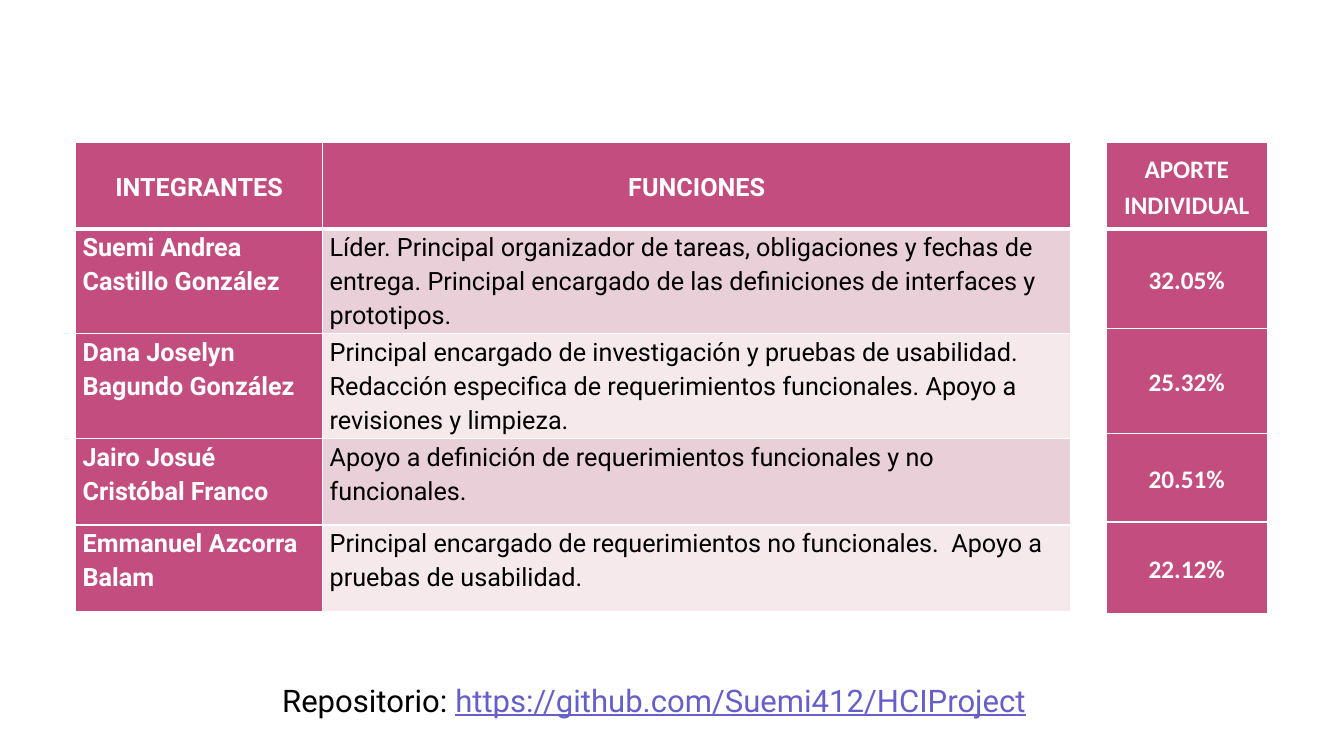
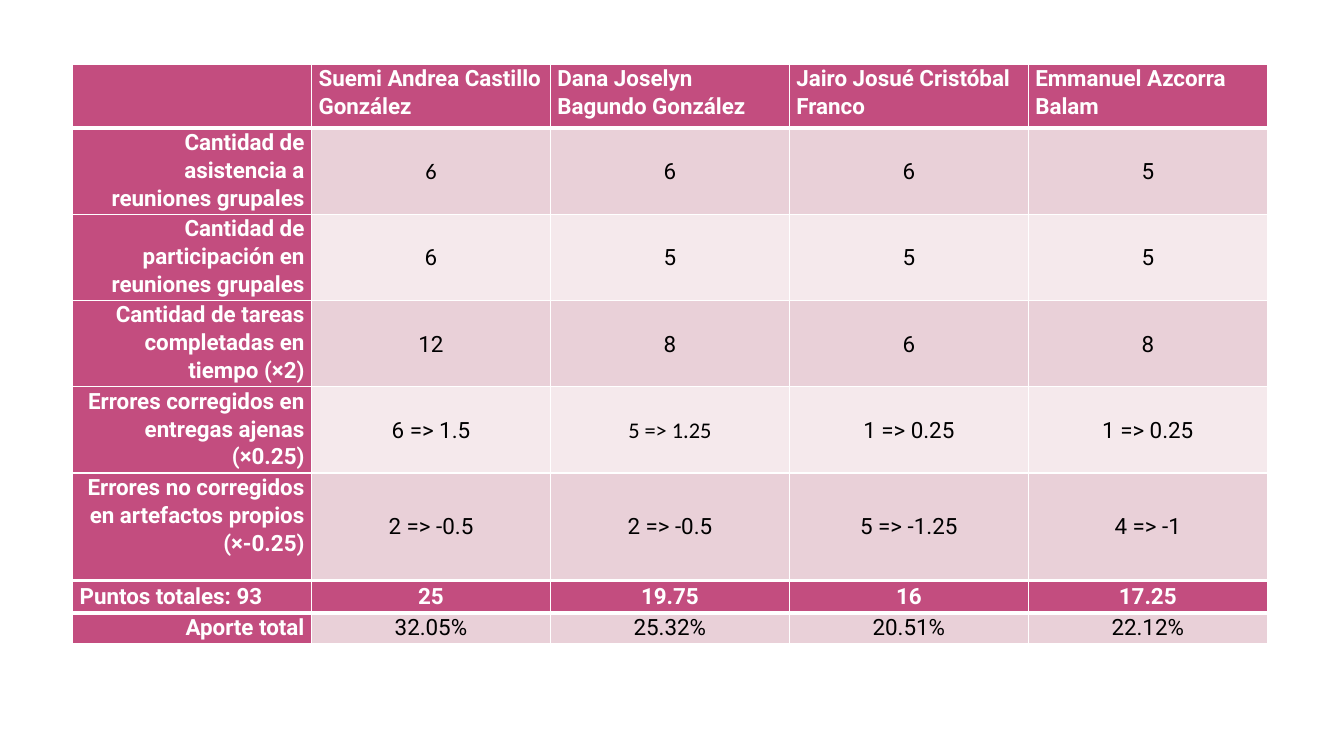
from dataclasses import dataclass, replace

import pptx
import pptx.dml.color
import pptx.enum.text
import pptx.oxml
import pptx.oxml.ns
import pptx.util
from pptx.util import Inches

ALIGN = pptx.enum.text.PP_ALIGN
ANCHOR = pptx.enum.text.MSO_ANCHOR


@dataclass(frozen=True)
class Theme:
    accent: str = "C34D7F"
    band_dark: str = "E9D0D8"
    band_light: str = "F5E9EC"
    white: str = "FFFFFF"
    black: str = "000000"
    link: str = "665FC9"
    main_font: str = "Roboto"
    second_font: str = "Calibri"
    roles_size: float = 18
    scores_size: float = 16
    link_size: float = 22.2
    thin_rule: float = 1
    thick_rule: float = 3


THEME = Theme()


@dataclass(frozen=True)
class TextStyle:
    size: float
    color: str = THEME.black
    bold: bool = False
    underline: bool = False
    font: str = THEME.main_font


@dataclass(frozen=True)
class Cell:
    text: str
    fill: str
    style: TextStyle
    align: ALIGN = ALIGN.LEFT
    anchor: ANCHOR = ANCHOR.TOP


@dataclass(frozen=True)
class Grid:
    left: float
    top: float
    columns: list[float]
    rows: list[float]
    cells: list[list[Cell]]
    line_spacing: float
    space_after: float


@dataclass(frozen=True)
class Member:
    name: str
    role: str
    share: str


MEMBERS = [
    Member("Suemi Andrea Castillo González",
           "Líder. Principal organizador de tareas, obligaciones y fechas de entrega. "
           "Principal encargado de las definiciones de interfaces y prototipos.", "32.05%"),
    Member("Dana Joselyn Bagundo González",
           "Principal encargado de investigación y pruebas de usabilidad. Redacción especifica "
           "de requerimientos funcionales. Apoyo a revisiones y limpieza.", "25.32%"),
    Member("Jairo Josué Cristóbal Franco",
           "Apoyo a definición de requerimientos funcionales y no funcionales.", "20.51%"),
    Member("Emmanuel Azcorra Balam",
           "Principal encargado de requerimientos no funcionales.  Apoyo a pruebas de usabilidad.",
           "22.12%"),
]

CRITERIA = [
    ("Cantidad de asistencia a reuniones grupales", ["6", "6", "6", "5"]),
    ("Cantidad de participación en reuniones grupales", ["6", "5", "5", "5"]),
    ("Cantidad de tareas completadas en tiempo (×2)", ["12", "8", "6", "8"]),
    ("Errores corregidos en entregas ajenas (×0.25)",
     ["6 => 1.5", "5 => 1.25", "1 => 0.25", "1 => 0.25"]),
    ("Errores no corregidos en artefactos propios (×-0.25)",
     ["2 => -0.5", "2 => -0.5", "5 => -1.25", "4 => -1"]),
]
SECOND_FONT_SCORES = {(0, 0), (3, 1)}
TOTALS = ["25", "19.75", "16", "17.25"]


def rgb(color: str) -> pptx.dml.color.RGBColor:
    return pptx.dml.color.RGBColor.from_string(color)


def band(index: int) -> str:
    return THEME.band_light if index % 2 else THEME.band_dark


def accent_cell(text: str, size: float, align: ALIGN = ALIGN.LEFT,
                anchor: ANCHOR = ANCHOR.TOP, font: str = THEME.main_font) -> Cell:
    style = TextStyle(size, THEME.white, bold=True, font=font)
    return Cell(text, THEME.accent, style, align, anchor)


def add_span(para, text: str, style: TextStyle) -> None:
    span = para.add_run()
    span.text = text
    span.font.name = style.font
    span.font.size = pptx.util.Pt(style.size)
    span.font.bold = style.bold
    span.font.underline = style.underline
    span.font.color.rgb = rgb(style.color)


def set_borders(table_cell, top: float, bottom: float) -> None:
    properties = table_cell._tc.get_or_add_tcPr()
    widths = {"lnL": THEME.thin_rule, "lnR": THEME.thin_rule, "lnT": top, "lnB": bottom}
    for position, (tag, width) in enumerate(widths.items()):
        properties.insert(position, pptx.oxml.parse_xml(
            f'<a:{tag} {pptx.oxml.ns.nsdecls("a")} w="{pptx.util.Pt(width)}">'
            f'<a:solidFill><a:srgbClr val="{THEME.white}"/></a:solidFill></a:{tag}>'))


def draw_cell(table_cell, cell: Cell, grid: Grid) -> None:
    table_cell.fill.solid()
    table_cell.fill.fore_color.rgb = rgb(cell.fill)
    table_cell.margin_left = table_cell.margin_right = Inches(0.07)
    table_cell.margin_top = table_cell.margin_bottom = 0
    table_cell.vertical_anchor = cell.anchor
    para = table_cell.text_frame.paragraphs[0]
    para.alignment = cell.align
    para.line_spacing = grid.line_spacing
    para.space_after = pptx.util.Pt(grid.space_after)
    if cell.text:
        add_span(para, cell.text, cell.style)


def draw_grid(page, grid: Grid) -> None:
    table = page.shapes.add_table(
        len(grid.rows), len(grid.columns), Inches(grid.left), Inches(grid.top),
        Inches(sum(grid.columns)), Inches(sum(grid.rows))).table
    table.first_row = table.horz_banding = False
    for column, width in zip(table.columns, grid.columns):
        column.width = Inches(width)
    for index, (row, height) in enumerate(zip(table.rows, grid.rows)):
        row.height = Inches(height)
        top = THEME.thick_rule if index == 1 else THEME.thin_rule
        bottom = THEME.thick_rule if index == 0 else THEME.thin_rule
        for table_cell, cell in zip(row.cells, grid.cells[index]):
            draw_cell(table_cell, cell, grid)
            set_borders(table_cell, top, bottom)


def draw_roles(page) -> None:
    size = THEME.roles_size
    centred = (size, ALIGN.CENTER, ANCHOR.MIDDLE)
    roles = [[accent_cell(text, *centred) for text in ("INTEGRANTES", "FUNCIONES")]]
    roles += [[accent_cell(member.name, size), Cell(member.role, band(index), TextStyle(size))]
              for index, member in enumerate(MEMBERS)]
    shares = [[accent_cell(text, *centred, THEME.second_font)]
              for text in ["APORTE INDIVIDUAL"] + [member.share for member in MEMBERS]]
    draw_grid(page, Grid(0.75, 1.41, [2.45, 7.42], [0.86, 1.04, 1.04, 0.86, 0.86],
                         roles, 1.15, 10))
    draw_grid(page, Grid(10.97, 1.41, [1.6], [0.86, 0.99, 1.04, 0.88, 0.91],
                         shares, 1.15, 10))
    box = page.shapes.add_textbox(Inches(2.7), Inches(6.67), Inches(7.92), Inches(0.68))
    box.text_frame.word_wrap = True
    para = box.text_frame.paragraphs[0]
    para.line_spacing = 1.1
    style = TextStyle(THEME.link_size)
    add_span(para, "Repositorio: ", style)
    add_span(para, "https://github.com/Suemi412/HCIProject",
             replace(style, color=THEME.link, underline=True))


def draw_scores(page) -> None:
    size = THEME.scores_size
    columns = [2.37] * (len(MEMBERS) + 1)
    scores = [[accent_cell(text, size) for text in [""] + [member.name for member in MEMBERS]]]
    for row, (criterion, values) in enumerate(CRITERIA):
        cells = [accent_cell(criterion, size, ALIGN.RIGHT)]
        for column, value in enumerate(values):
            second = (row, column) in SECOND_FONT_SCORES
            font = THEME.second_font if second else THEME.main_font
            cells.append(Cell(value, band(row), TextStyle(size, font=font),
                              ALIGN.CENTER, ANCHOR.MIDDLE))
        scores.append(cells)
    totals = [
        [accent_cell("Puntos totales: 93", size)]
        + [accent_cell(total, size, ALIGN.CENTER) for total in TOTALS],
        [accent_cell("Aporte total", size, ALIGN.RIGHT)]
        + [Cell(member.share, THEME.band_dark, TextStyle(size), ALIGN.CENTER)
           for member in MEMBERS],
    ]
    draw_grid(page, Grid(0.72, 0.64, columns, [0.63] + [0.84] * 4 + [1.06], scores, 1.07, 8))
    draw_grid(page, Grid(0.72, 5.77, columns, [0.31] * 2, totals, 1.07, 8))


def main() -> None:
    deck = pptx.Presentation()
    deck.slide_width, deck.slide_height = Inches(13.33), Inches(7.5)
    for draw in (draw_roles, draw_scores):
        draw(deck.slides.add_slide(deck.slide_layouts[6]))
    deck.save("out.pptx")


if __name__ == "__main__":
    main()
